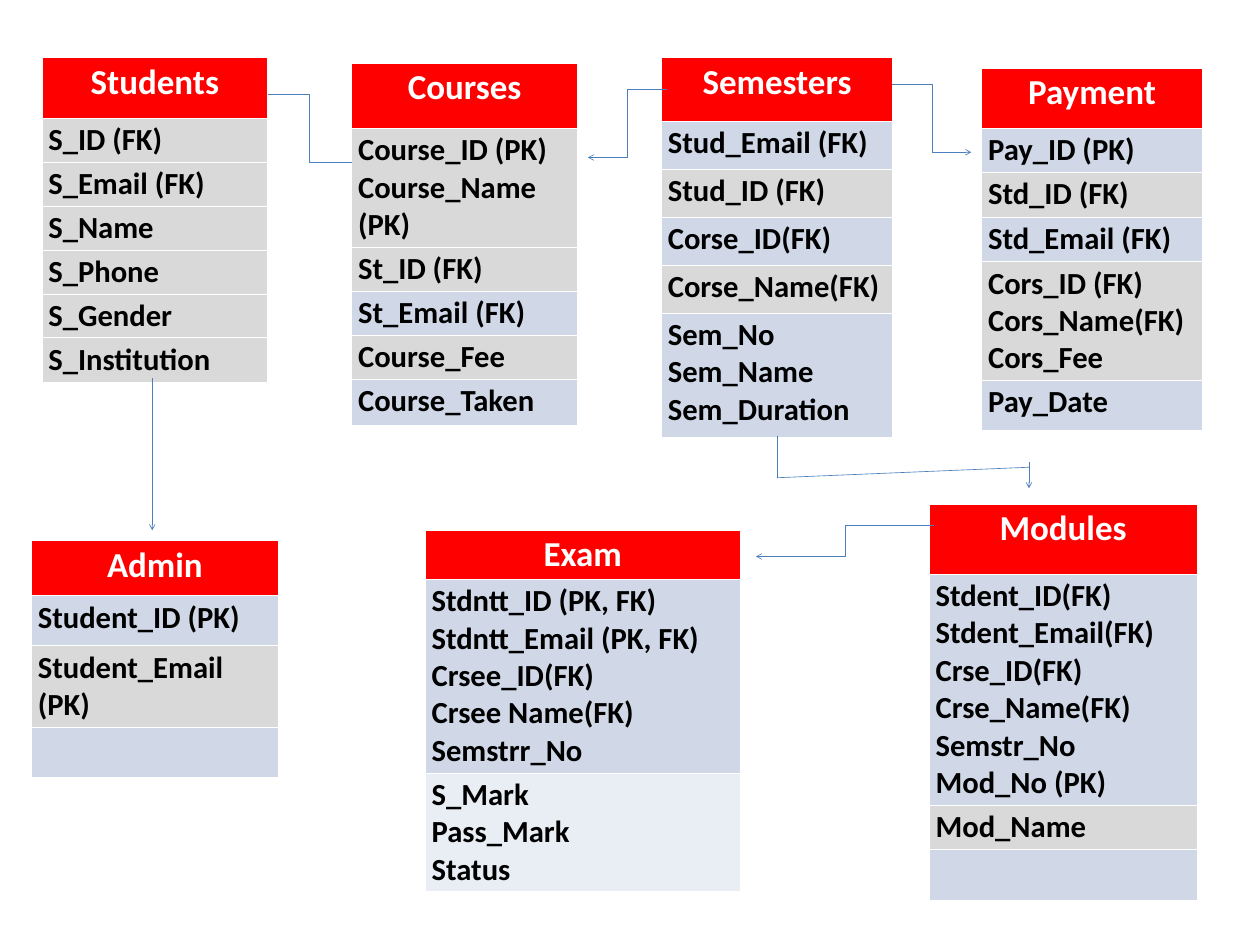
from lxml.etree import SubElement
from pptx import Presentation
from pptx.dml.color import RGBColor
from pptx.enum.shapes import MSO_CONNECTOR as Route
from pptx.enum.text import PP_ALIGN as Align
from pptx.oxml.ns import qn
from pptx.util import Pt

EMU_PER_PX = 9525
COLORS = {
    "heading": "FF0000",
    "grey": "D9D9D9",
    "blue": "D0D8E8",
    "pale": "E9EDF4",
    "white": "FFFFFF",
    "black": "000000",
    "link": "4B7EBC",
}
HEADING = {"name": "Calibri", "size": Pt(40), "bold": True}
FIELD = {"name": "Calibri", "size": Pt(35), "bold": True}

ENTITIES = [
    ("Students", (64, 88, 344), 92, [
        ("S_ID (FK)", "grey", 67), ("S_Email (FK)", "grey", 67),
        ("S_Name", "grey", 67), ("S_Phone", "grey", 67),
        ("S_Gender", "grey", 67), ("S_Institution", "grey", 68)]),
    ("Admin", (48, 824, 376), 84, [
        ("Student_ID (PK)", "blue", 76),
        ("Student_Email (PK)", "grey", 124), ("", "blue", 76)]),
    ("Courses", (536, 96, 344), 100, [
        ("Course_ID (PK)\nCourse_Name\n(PK)", "grey", 181),
        ("St_ID (FK)", "grey", 67), ("St_Email (FK)", "blue", 67),
        ("Course_Fee", "grey", 67), ("Course_Taken", "blue", 70)]),
    ("Payment", (1496, 104, 336), 91, [
        ("Pay_ID (PK)", "blue", 68), ("Std_ID (FK)", "grey", 68),
        ("Std_Email (FK)", "blue", 68),
        ("Cors_ID (FK)\nCors_Name(FK)\nCors_Fee", "grey", 181),
        ("Pay_Date", "blue", 76)]),
    ("Semesters", (1008, 88, 352), 97, [
        ("Stud_Email (FK)", "blue", 73), ("Stud_ID (FK)", "grey", 73),
        ("Corse_ID(FK)", "blue", 73), ("Corse_Name(FK)", "grey", 73),
        ("Sem_No\nSem_Name\nSem_Duration", "blue", 189)]),
    ("Modules", (1416, 768, 408), 107, [
        ("Stdent_ID(FK)\nStdent_Email(FK)\nCrse_ID(FK)\nCrse_Name(FK)\n"
         "Semstr_No\nMod_No (PK)", "blue", 352),
        ("Mod_Name", "grey", 68), ("", "blue", 77)]),
    ("Exam", (648, 808, 480), 75, [
        ("Stdntt_ID (PK, FK)\nStdntt_Email (PK, FK)\nCrsee_ID(FK)\n"
         "Crsee Name(FK)\nSemstrr_No", "blue", 295),
        ("S_Mark\nPass_Mark\nStatus", "pale", 181)]),
]

RELATIONS = [
    (Route.STRAIGHT, (232, 576, 232, 808), True),
    (Route.ELBOW, (408, 144, 536, 248), False),
    (Route.ELBOW, (1016, 136, 896, 240), True),
    (Route.ELBOW, (1360, 128, 1480, 232), True),
    (Route.STRAIGHT, (1184, 664, 1184, 728), False),
    (Route.STRAIGHT, (1184, 728, 1568, 712), False),
    (Route.STRAIGHT, (1568, 704, 1568, 744), True),
    (Route.ELBOW, (1424, 800, 1152, 848), True),
]


def px(*lengths):
    return [length * EMU_PER_PX for length in lengths]


def color(key):
    return RGBColor.from_string(COLORS[key])


class Diagram:
    def __init__(self, deck):
        self.slide = deck.slides.add_slide(deck.slide_layouts[6])

    def fill_cell(self, cell, text, fill, ink, style, align):
        cell.fill.solid()
        cell.fill.fore_color.rgb = color(fill)
        cell.text = text
        for line in cell.text_frame.paragraphs:
            line.alignment = align
            for run in line.runs:
                for attribute, value in style.items():
                    setattr(run.font, attribute, value)
                run.font.color.rgb = color(ink)

    def entity(self, heading, place, heading_height, fields):
        left, top, width = place
        heights = [heading_height] + [height for _, _, height in fields]
        frame = self.slide.shapes.add_table(
            len(heights), 1, *px(left, top, width, sum(heights)))
        table = frame.table
        for row, height in zip(table.rows, px(*heights)):
            row.height = height
        self.fill_cell(table.cell(0, 0), heading, "heading", "white",
                       HEADING, Align.CENTER)
        for index, (text, fill, _) in enumerate(fields, 1):
            self.fill_cell(table.cell(index, 0), text, fill, "black",
                           FIELD, Align.LEFT)

    def relation(self, route, ends, arrow):
        link = self.slide.shapes.add_connector(route, *px(*ends))
        link.line.color.rgb = color("link")
        link.line.width = Pt(0.75)
        if arrow:
            SubElement(link.line._get_or_add_ln(), qn("a:tailEnd"), type="arrow")
        SubElement(link._element.spPr, qn("a:effectLst"))


def main():
    deck = Presentation()
    deck.slide_width, deck.slide_height = px(1920, 1440)
    diagram = Diagram(deck)
    for entity in ENTITIES:
        diagram.entity(*entity)
    for relation in RELATIONS:
        diagram.relation(*relation)
    deck.save("out.pptx")


if __name__ == "__main__":
    main()
